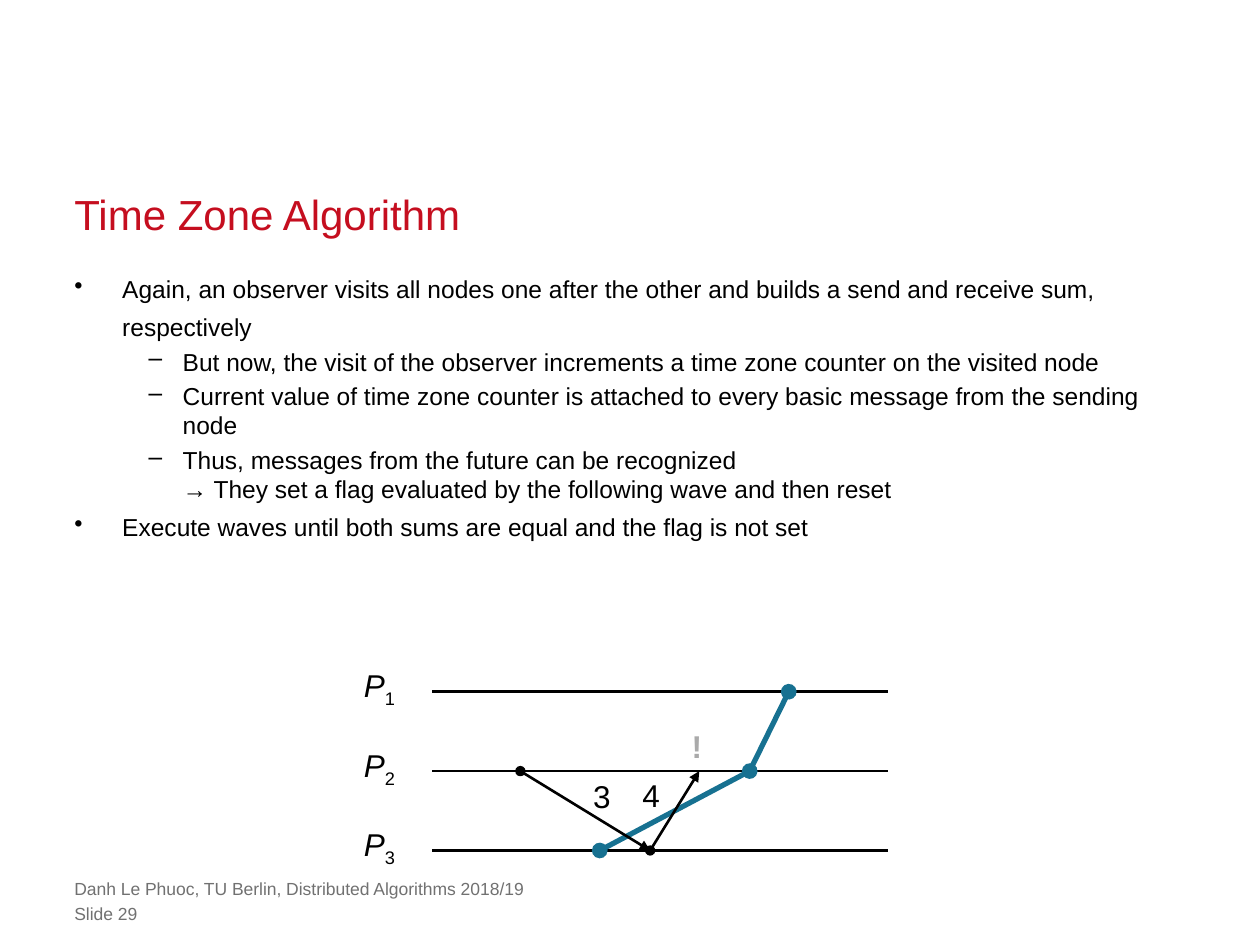
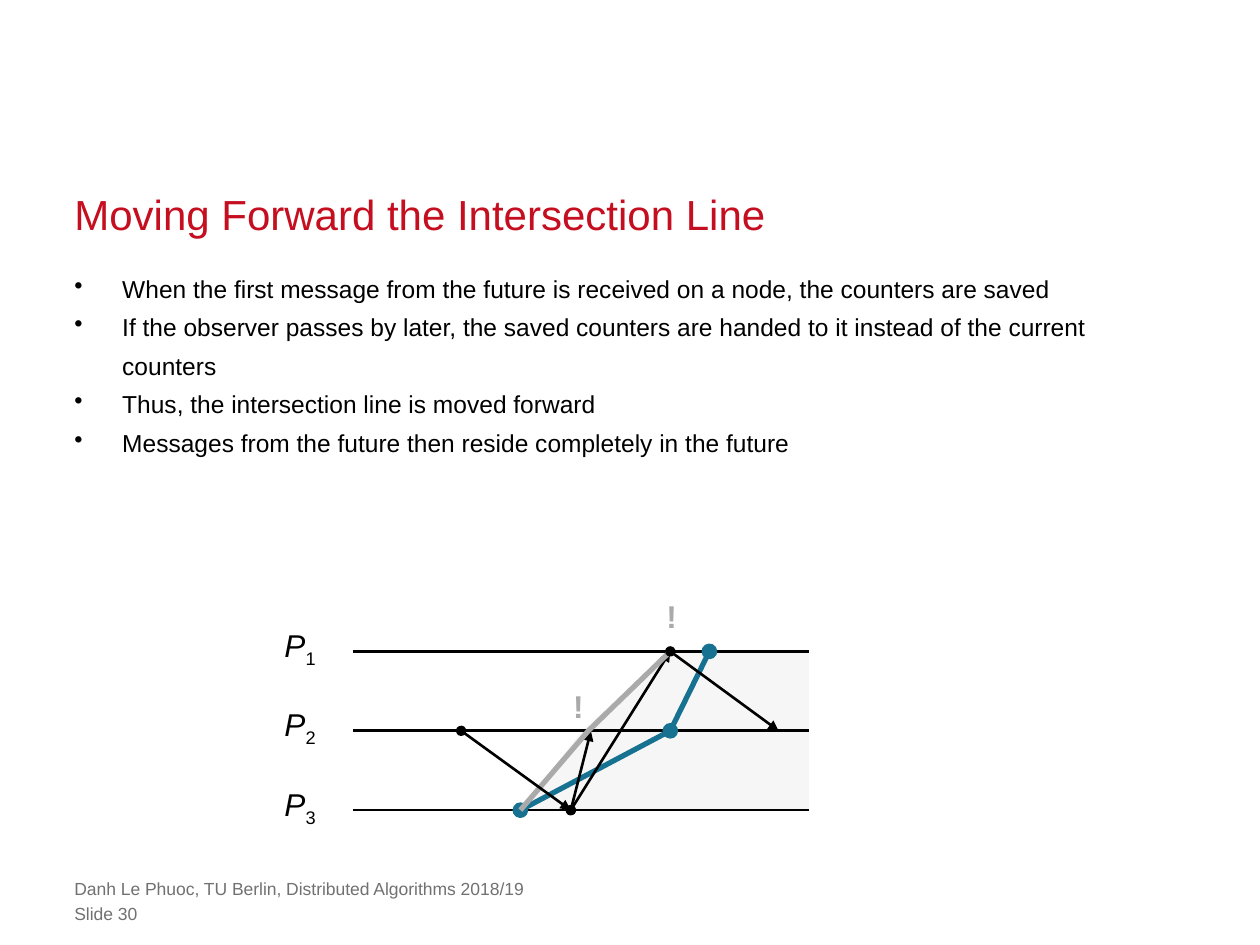
from dataclasses import dataclass

from lxml import etree
from pptx import Presentation
from pptx.dml.color import RGBColor
from pptx.enum.shapes import MSO_CONNECTOR
from pptx.enum.text import MSO_ANCHOR, MSO_AUTO_SIZE, PP_ALIGN
from pptx.oxml.ns import qn
from pptx.util import Inches, Pt

STRAIGHT = MSO_CONNECTOR.STRAIGHT
BOTTOM, LEFT, NO_FIT = MSO_ANCHOR.BOTTOM, PP_ALIGN.LEFT, MSO_AUTO_SIZE.NONE
TITLE_ONLY = 5


@dataclass(frozen=True)
class Theme:
    font: str = "Arial"
    red: str = "C50E1F"
    black: str = "000000"
    blue: str = "177191"
    gray: str = "AAAAAA"
    footer_gray: str = "717171"
    future_gray: str = "E3E3E3"
    title_size: int = 24
    body_size: int = 14
    label_size: int = 18
    footer_size: int = 10
    thin: float = 1.5
    thick: float = 3


THEME = Theme()
MARGIN, TEXT_WIDTH = 0.59, 8.82
FOOTER = "Danh Le Phuoc, TU Berlin, Distributed Algorithms 2018/19"

# Bullet levels: character, left margin, hanging indent (inches)
BULLETS = [("•", 0.38, -0.38), ("–", 0.86, -0.27)]

# Time diagram: lane spacing and length, and the observer's visits as (x, lane)
LANES = (1, 2, 3)
LANE_GAP, LANE_LENGTH = 0.63, 3.62
VISITS = [(1.33, 3), (2.52, 2), (2.83, 1)]


# Text
def add_span(para, text, size, color, bold=False, italic=False, subscript=False):
    span = para.add_run()
    span.text = text
    font = span.font
    font.name, font.size = THEME.font, Pt(size)
    font.color.rgb = RGBColor.from_string(color)
    font.bold, font.italic = bold, italic
    if subscript:
        font._element.set("baseline", "-25000")


def clear_margins(frame):
    frame.margin_left = frame.margin_right = 0
    frame.margin_top = frame.margin_bottom = 0
    frame.word_wrap = True
    frame.auto_size = NO_FIT


def add_text_area(page, top, width, height):
    box = page.shapes.add_textbox(
        Inches(MARGIN), Inches(top), Inches(width), Inches(height))
    clear_margins(box.text_frame)
    return box.text_frame


def add_title(page, text):
    title = page.shapes.title
    title.left, title.top = Inches(MARGIN), Inches(1.48)
    title.width, title.height = Inches(TEXT_WIDTH), Inches(0.42)
    frame = title.text_frame
    clear_margins(frame)
    frame.vertical_anchor = BOTTOM
    para = frame.paragraphs[0]
    para.alignment, para.line_spacing = LEFT, Pt(30)
    add_span(para, text, THEME.title_size, THEME.red)


def set_bullet(para, level):
    character, margin, indent = BULLETS[level]
    properties = para._p.get_or_add_pPr()
    properties.set("marL", str(Inches(margin)))
    properties.set("indent", str(Inches(indent)))
    etree.SubElement(properties, qn("a:buChar"), char=character)
    para.level = level
    if level:
        para.space_before = Pt(0.2 * THEME.body_size)
    else:
        para.line_spacing = Pt(22)


def add_bullets(page, items):
    frame = add_text_area(page, 2.1, TEXT_WIDTH, 4.45)
    for index, (level, text) in enumerate(items):
        para = frame.add_paragraph() if index else frame.paragraphs[0]
        set_bullet(para, level)
        for number, row in enumerate(text.split("\n")):
            if number:
                para.add_line_break()
            add_span(para, row, THEME.body_size, THEME.black)


def add_footer(page, number):
    for top, text in ((6.97, FOOTER), (7.17, f"Slide {number}")):
        frame = add_text_area(page, top, 7.24, 0.17)
        add_span(frame.paragraphs[0], text, THEME.footer_size, THEME.footer_gray)


def add_page(deck, number, title, items):
    page = deck.slides.add_slide(deck.slide_layouts[TITLE_ONLY])
    add_title(page, title)
    add_bullets(page, items)
    add_footer(page, number)
    return page


# Time diagram
class TimeDiagram:
    """Places elements by offset from the start of the first lane."""

    def __init__(self, page, left, top):
        self.shapes, self.left, self.top = page.shapes, left, top

    def place(self, point):
        x, lane = point
        return (Inches(self.left + x),
                Inches(self.top + (lane - 1) * LANE_GAP))

    def add_line(self, start, end, color, width, head=None, tail=None):
        connector = self.shapes.add_connector(
            STRAIGHT, *self.place(start), *self.place(end))
        connector.line.color.rgb = RGBColor.from_string(color)
        connector.line.width = Pt(width)
        outline = connector.line._get_or_add_ln()
        for tag, kind in (("a:headEnd", head), ("a:tailEnd", tail)):
            if kind:
                etree.SubElement(outline, qn(tag), type=kind)
        etree.SubElement(connector._element.spPr, qn("a:effectLst"))

    def add_label(self, x, y, width):
        box = self.shapes.add_textbox(
            Inches(self.left + x), Inches(self.top + y),
            Inches(width), Inches(0.4))
        box.text_frame.word_wrap = False
        return box.text_frame.paragraphs[0]

    def add_lanes(self):
        for lane in LANES:
            self.add_line((0, lane), (LANE_LENGTH, lane), THEME.black, THEME.thin)
        for lane in LANES:
            para = self.add_label(-0.64, (lane - 1) * LANE_GAP - 0.25, 0.46)
            add_span(para, "P", THEME.label_size, THEME.black, italic=True)
            add_span(para, str(lane), THEME.label_size, THEME.black, subscript=True)

    def add_observer(self):
        first, second, third = VISITS
        self.add_line(first, second, THEME.blue, THEME.thick, "oval", "oval")
        self.add_line(third, second, THEME.blue, THEME.thick, "oval")

    def add_messages(self, *messages):
        for sent, received in messages:
            self.add_line(sent, received, THEME.black, THEME.thin,
                          "oval", "triangle")

    def add_zone(self, x, y, value):
        add_span(self.add_label(x, y, 0.34), value, THEME.label_size, THEME.black)

    def add_flag(self, x, y):
        add_span(self.add_label(x, y, 0.28), "!", THEME.label_size, THEME.gray,
                 bold=True)

    def add_outline(self, points, close):
        start, *others = [self.place(point) for point in points]
        builder = self.shapes.build_freeform(*start)
        builder.add_line_segments(others, close=close)
        outline = builder.convert_to_shape()
        outline.shadow.inherit = False
        return outline

    def add_future(self, points):
        area = self.add_outline(points, close=True)
        area.line.fill.background()
        area.fill.solid()
        area.fill.fore_color.rgb = RGBColor.from_string(THEME.future_gray)
        color = area._element.spPr.find(qn("a:solidFill"))[0]
        etree.SubElement(color, qn("a:alpha"), val="30000")

    def add_moved_line(self, points):
        moved = self.add_outline(points, close=False)
        moved.fill.background()
        moved.line.color.rgb = RGBColor.from_string(THEME.gray)
        moved.line.width = Pt(THEME.thick)


# Slides
def add_time_zone_page(deck):
    page = add_page(deck, 29, "Time Zone Algorithm", [
        (0, "Again, an observer visits all nodes one after the other and builds "
            "a send and receive sum, respectively"),
        (1, "But now, the visit of the observer increments a time zone counter "
            "on the visited node"),
        (1, "Current value of time zone counter is attached to every basic "
            "message from the sending node"),
        (1, "Thus, messages from the future can be recognized\n"
            "→ They set a flag evaluated by the following wave and then reset"),
        (0, "Execute waves until both sums are equal and the flag is not set"),
    ])
    diagram = TimeDiagram(page, 3.43, 5.49)
    diagram.add_lanes()
    diagram.add_observer()
    diagram.add_messages(((0.7, 2), (1.73, 3)), ((1.73, 3), (2.12, 2)))
    diagram.add_zone(1.18, 0.63, "3")
    diagram.add_zone(1.57, 0.62, "4")
    diagram.add_flag(1.96, 0.23)


def add_intersection_page(deck):
    page = add_page(deck, 30, "Moving Forward the Intersection Line", [
        (0, "When the first message from the future is received on a node, "
            "the counters are saved"),
        (0, "If the observer passes by later, the saved counters are handed to "
            "it instead of the current counters"),
        (0, "Thus, the intersection line is moved forward"),
        (0, "Messages from the future then reside completely in the future"),
    ])
    diagram = TimeDiagram(page, 2.8, 5.17)
    start, reply, relay = VISITS[0], (1.73, 3), (2.52, 1)
    diagram.add_future([start, (1.82, 2), relay,
                        (LANE_LENGTH, 1), (LANE_LENGTH, 3)])
    diagram.add_lanes()
    diagram.add_observer()
    diagram.add_messages((reply, relay), (reply, (1.89, 2)))
    diagram.add_flag(1.65, 0.23)
    diagram.add_flag(2.39, -0.48)
    diagram.add_moved_line([start, (1.87, 2), relay])
    diagram.add_messages(((0.86, 2), reply), (relay, (3.38, 2)))


def main():
    deck = Presentation()
    deck.slide_width, deck.slide_height = Inches(10), Inches(7.5)
    add_time_zone_page(deck)
    add_intersection_page(deck)
    deck.save("out.pptx")


if __name__ == "__main__":
    main()
